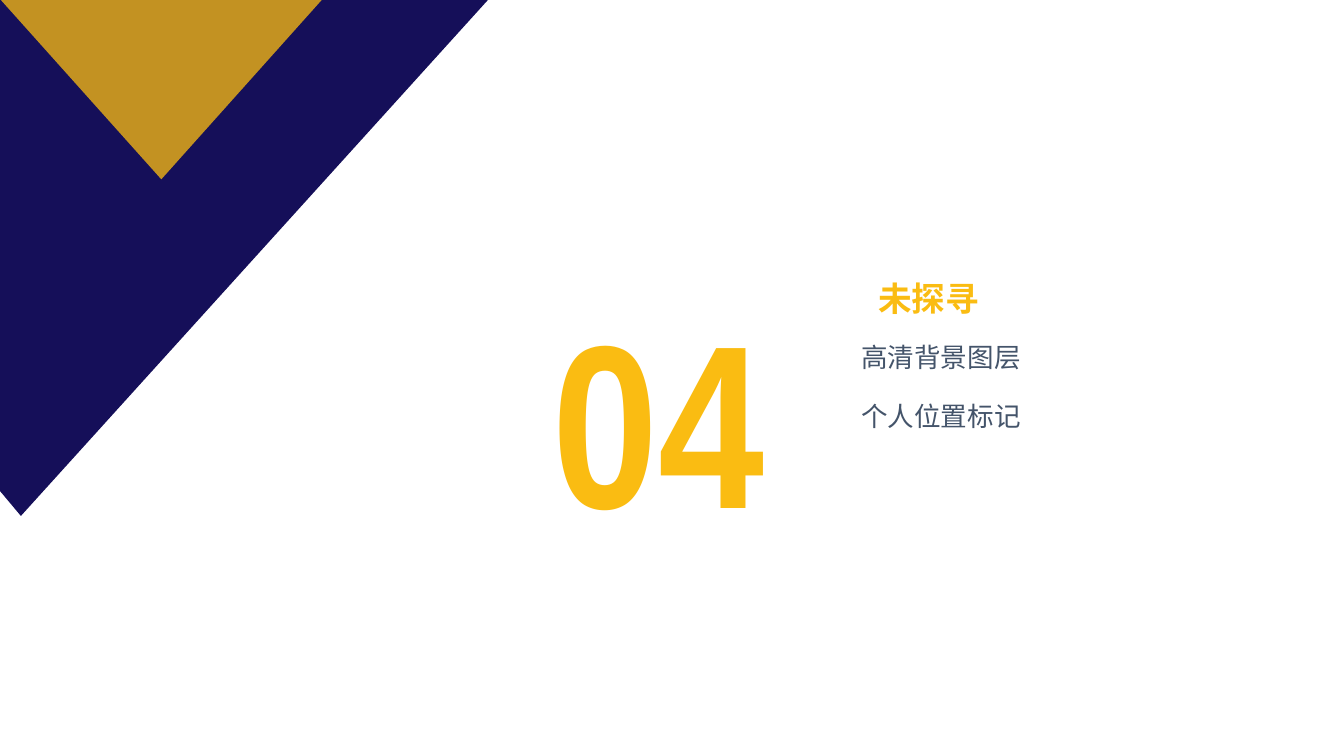
from dataclasses import dataclass

from lxml.etree import SubElement
from pptx import Presentation
from pptx.dml.color import RGBColor
from pptx.enum.lang import MSO_LANGUAGE_ID as Lang
from pptx.enum.shapes import MSO_SHAPE as Preset
from pptx.enum.text import MSO_AUTO_SIZE as AutoSize, PP_ALIGN as Align
from pptx.oxml.ns import qn
from pptx.shapes.autoshape import Shape
from pptx.slide import Slide
from pptx.util import Emu, Pt

GOLD = "FABC12"
NAVY = "150F59"
SLATE = "44546A"
CHINESE_FONT = "Noto Sans CJK SC"


@dataclass(frozen=True)
class Label:
    text: str
    left: int
    top: int
    width: int
    height: int
    size: float
    font: str
    color: str
    bold: bool = False
    align: Align = Align.LEFT
    inset: int = 10


SECTION_TITLE = Label("未探寻", 872, 274, 362, 51, 25.3, CHINESE_FONT, GOLD, bold=True)
SECTION_NUMBER = Label("04", 492, 272, 342, 293, 175, "Arial Narrow", GOLD,
                       bold=True, align=Align.JUSTIFY, inset=63)
TOPICS = [
    Label(topic, 855, 338 + 59 * row, 274, 42, 20, "Calibri", SLATE)
    for row, topic in enumerate(["高清背景图层", "个人位置标记"])
]


def px(length: int) -> Emu:
    return Emu(length * 9525)


def rgb(color: str) -> RGBColor:
    return RGBColor.from_string(color)


def paint(shape: Shape, color: str, opacity: int = 100) -> None:
    """Fill without outline or shadow; opacity is in percent."""
    shape.shadow.inherit = False
    shape.line.fill.background()
    shape.fill.solid()
    shape.fill.fore_color.rgb = rgb(color)
    if opacity < 100:
        swatch = shape.fill._xPr.find(qn("a:solidFill"))[0]
        SubElement(swatch, qn("a:alpha"), val=str(opacity * 1000))


def add_corner(slide: Slide) -> None:
    corner = slide.shapes.add_group_shape().shapes
    outline = corner.build_freeform(0, -1, scale=px(1))
    outline.add_line_segments([(491, -1), (21, 518), (0, 493)])
    paint(outline.convert_to_shape(), NAVY)

    triangle = corner.add_shape(Preset.ISOSCELES_TRIANGLE, px(0), px(-1), px(324), px(181))
    triangle.rotation = 180
    triangle.adjustments[0] = 0.5
    paint(triangle, GOLD, opacity=76)


def add_label(slide: Slide, label: Label) -> None:
    box = slide.shapes.add_textbox(
        px(label.left), px(label.top), px(label.width), px(label.height))
    frame = box.text_frame
    frame.word_wrap = True
    frame.auto_size = AutoSize.SHAPE_TO_FIT_TEXT
    frame.margin_left = px(label.inset)
    paragraph = frame.paragraphs[0]
    paragraph.text = label.text
    paragraph.alignment = label.align
    font = paragraph.font
    font.size = Pt(label.size)
    font.name = label.font
    font.bold = label.bold
    font.color.rgb = rgb(label.color)
    font.language_id = Lang.SIMPLIFIED_CHINESE
    SubElement(font._rPr, qn("a:ea"), typeface=CHINESE_FONT)


def main() -> None:
    deck = Presentation()
    deck.slide_width, deck.slide_height = px(1350), px(759)
    slide = deck.slides.add_slide(deck.slide_layouts[6])
    add_corner(slide)
    for label in [SECTION_TITLE, SECTION_NUMBER, *TOPICS]:
        add_label(slide, label)
    deck.save("out.pptx")


if __name__ == "__main__":
    main()
